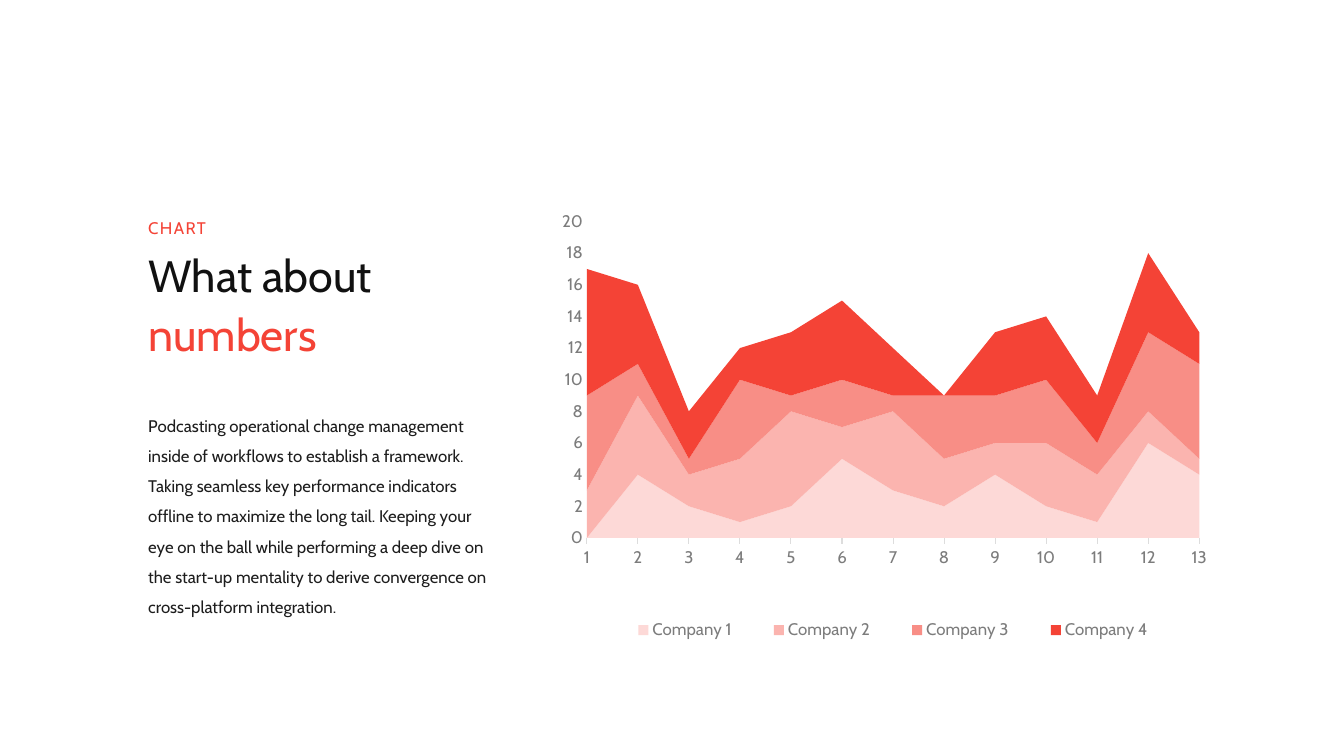
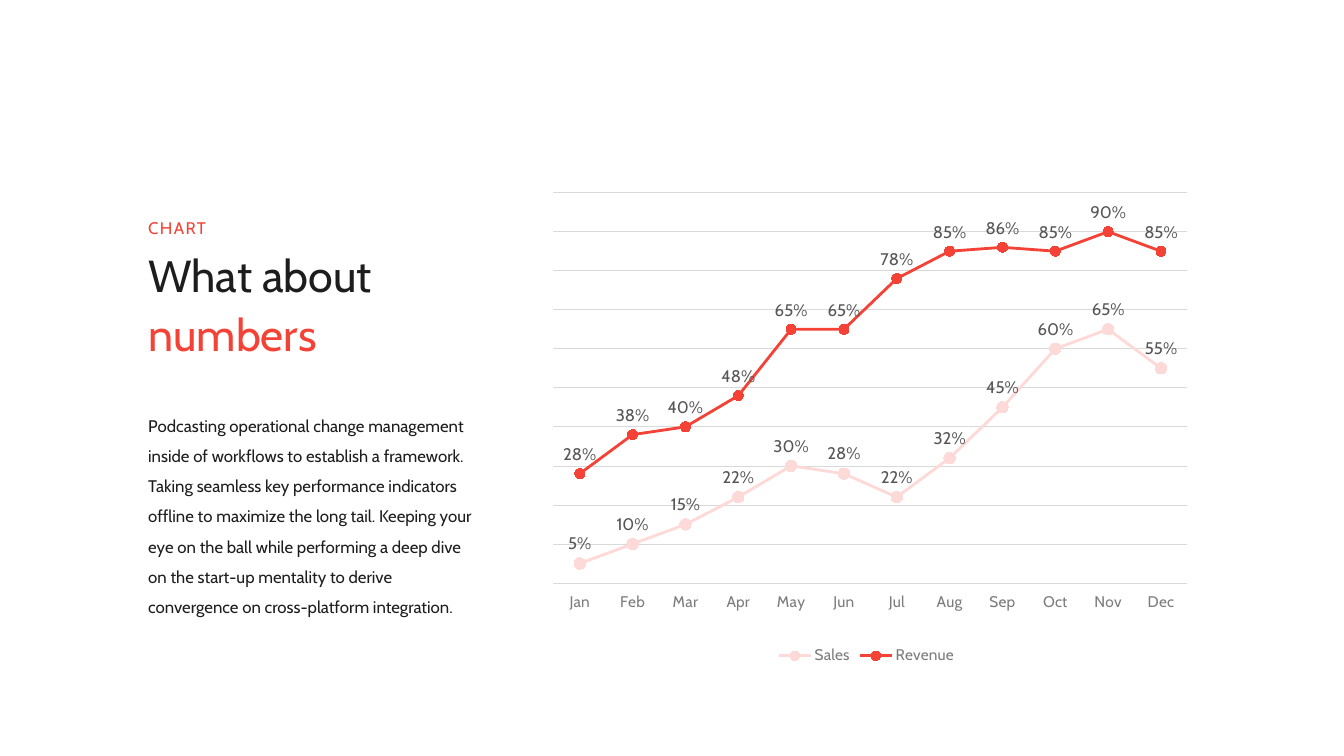
"""Build two chart slides that share a heading and text column."""
from lxml import etree
from pptx import Presentation
from pptx.chart.data import CategoryChartData
from pptx.dml.color import RGBColor
from pptx.enum.chart import (XL_CHART_TYPE, XL_LABEL_POSITION, XL_LEGEND_POSITION,
                             XL_MARKER_STYLE, XL_TICK_MARK)
from pptx.enum.text import MSO_ANCHOR, MSO_AUTO_SIZE
from pptx.oxml.ns import qn
from pptx.util import Inches, Pt

AREA, LINE = XL_CHART_TYPE.AREA_STACKED, XL_CHART_TYPE.LINE_MARKERS
ABOVE, BOTTOM = XL_LABEL_POSITION.ABOVE, XL_LEGEND_POSITION.BOTTOM
CIRCLE = XL_MARKER_STYLE.CIRCLE
TICK_NONE, TICK_OUT = XL_TICK_MARK.NONE, XL_TICK_MARK.OUTSIDE
ANCHOR_TOP, ANCHOR_BOTTOM = MSO_ANCHOR.TOP, MSO_ANCHOR.BOTTOM
GROW = MSO_AUTO_SIZE.SHAPE_TO_FIT_TEXT

FONT, CHART_FONT = "Cabin", "Roboto"
RED, PALE, INK, GREY = "F44336", "FDD9D7", "1D1D1D", "7C7C7C"
LEFT = 1.47
BODY = ("Podcasting operational change management inside of workflows to establish "
        "a framework. Taking seamless key performance indicators offline to maximize "
        "the long tail. Keeping your eye on the ball while performing a deep dive on "
        "the start-up mentality to derive convergence on cross-platform integration.")

COMPANIES = [
    ("Company 1", PALE, (0, 4, 2, 1, 2, 5, 3, 2, 4, 2, 1, 6, 4)),
    ("Company 2", "FBB4AF", (3, 5, 2, 4, 6, 2, 5, 3, 2, 4, 3, 2, 1)),
    ("Company 3", "F88E86", (6, 2, 1, 5, 1, 3, 1, 4, 3, 4, 2, 5, 6)),
    ("Company 4", RED, (8, 5, 3, 2, 4, 5, 3, 0, 4, 4, 3, 5, 2)),
]
MONTHS = "Jan Feb Mar Apr May Jun Jul Aug Sep Oct Nov Dec".split()
RESULTS = [
    ("Sales", PALE,
     (0.05, 0.1, 0.15, 0.22, 0.3, 0.28, 0.22, 0.32, 0.45, 0.6, 0.65, 0.55)),
    ("Revenue", RED,
     (0.28, 0.38, 0.4, 0.48, 0.65, 0.65, 0.78, 0.85, 0.86, 0.85, 0.9, 0.85)),
]


def rgb(value):
    return RGBColor.from_string(value)


def style_font(font, size=12, color=INK, name=FONT):
    font.size, font.name = Pt(size), name
    font.color.rgb = rgb(color)


def add_run(paragraph, text, spacing=None, **style):
    run = paragraph.add_run()
    run.text = text
    style_font(run.font, **style)
    if spacing:
        run._r.get_or_add_rPr().set("spc", str(spacing * 100))


def set_layout(parent, index, box, inner=False):
    for old in parent.findall(qn("c:layout")):
        parent.remove(old)
    layout = etree.Element(qn("c:layout"))
    parent.insert(index, layout)
    manual = etree.SubElement(layout, qn("c:manualLayout"))
    settings = [("layoutTarget", "inner")] if inner else []
    settings += [("xMode", "edge"), ("yMode", "edge"), *zip("xywh", box)]
    for tag, value in settings:
        etree.SubElement(manual, qn(f"c:{tag}")).set("val", str(value))


class Deck:
    def __init__(self):
        self.prs = Presentation()
        self.prs.slide_width, self.prs.slide_height = Inches(13.33), Inches(7.5)
        self.slide = None

    def text(self, box, lines, line_spacing, anchor=ANCHOR_TOP, **style):
        frame = self.slide.shapes.add_textbox(*map(Inches, box)).text_frame
        frame.word_wrap, frame.auto_size = True, GROW
        frame.vertical_anchor = anchor
        frame.margin_left = frame.margin_right = 0
        frame.margin_top = frame.margin_bottom = 0
        paragraph = frame.paragraphs[0]
        paragraph.line_spacing = line_spacing
        for i, (line, color) in enumerate(lines):
            if i:
                paragraph.add_line_break()
            add_run(paragraph, line, color=color, **style)

    def new_slide(self, title_color, title_width, body_width, body_height):
        self.slide = self.prs.slides.add_slide(self.prs.slide_layouts[6])
        self.text((LEFT, 2.4, title_width, 1.14),
                  [("What about ", title_color), ("numbers", RED)], 1.1, size=32)
        self.text((LEFT, 4.02, body_width, body_height), [(BODY, INK)], 1.5)
        self.text((LEFT, 2.14, 1.98, 0.22), [("CHART", RED)], 1.2,
                  ANCHOR_BOTTOM, spacing=1)

    def chart(self, kind, box, plot_box, categories, series, top, step, size,
              number_format="General"):
        data = CategoryChartData(number_format=number_format)
        data.categories = categories
        for name, _, values in series:
            data.add_series(name, values)
        chart = self.slide.shapes.add_chart(kind, *map(Inches, box), data).chart
        chart.has_title = False
        style_font(chart.font, 11, INK, CHART_FONT)
        chart.has_legend = True
        chart.legend.position = BOTTOM
        chart.legend.include_in_layout = False
        style_font(chart.legend.font, size, GREY)
        set_layout(chart.element.xpath(".//c:plotArea")[0], 0, plot_box, inner=True)

        category_axis, value_axis = chart.category_axis, chart.value_axis
        category_axis.has_major_gridlines = value_axis.has_major_gridlines = False
        category_axis.major_tick_mark = TICK_OUT
        value_axis.major_tick_mark = TICK_NONE
        value_axis.minimum_scale, value_axis.maximum_scale = 0, top
        value_axis.major_unit = step
        value_axis.format.line.fill.background()
        for axis in (category_axis, value_axis):
            axis.minor_tick_mark = TICK_NONE
            style_font(axis.tick_labels.font, size, GREY)
        return chart

    def area_chart(self, *args, legend_box, **options):
        chart = self.chart(AREA, *args, **options)
        set_layout(chart.element.xpath(".//c:legend")[0], 1, legend_box)
        axis_line = chart.category_axis.format.line
        axis_line.color.rgb, axis_line.width = rgb("DDDDDD"), Pt(0.75)
        for crossing in chart.element.xpath(".//c:valAx/c:crossBetween"):
            crossing.set("val", "midCat")
        chart.plots[0].vary_by_categories = False
        for series, (_, color, _) in zip(chart.plots[0].series, COMPANIES):
            series.format.fill.solid()
            series.format.fill.fore_color.rgb = rgb(color)
            series.format.line.fill.background()

    def line_chart(self, *args, **options):
        chart = self.chart(LINE, *args, **options)
        chart.category_axis.format.line.fill.background()
        chart.value_axis.visible = False
        chart.value_axis.has_major_gridlines = True
        grid = chart.value_axis.major_gridlines.format.line
        grid.color.rgb, grid.width = rgb("D9D9D9"), Pt(0.5)
        chart.plots[0].vary_by_categories = False
        marker_sizes = (8, 7)
        for series, (_, color, _), size in zip(chart.plots[0].series, RESULTS, marker_sizes):
            series.smooth = False
            series.format.line.color.rgb, series.format.line.width = rgb(color), Pt(2)
            marker = series.marker
            marker.style, marker.size = CIRCLE, size
            marker.format.fill.solid()
            marker.format.fill.fore_color.rgb = rgb(color)
            marker.format.line.fill.background()
            labels = series.data_labels
            labels.show_value, labels.position = True, ABOVE
            labels.number_format, labels.number_format_is_linked = "0%", False
            style_font(labels.font, 12, "565656")


def main():
    deck = Deck()
    deck.new_slide("111111", 3.61, 3.38, 2.12)
    deck.area_chart((5.07, 1.17, 7.5, 5.71), (0.1, 0.18, 0.81, 0.55),
                    [str(n) for n in range(1, 14)], COMPANIES, 20, 2, 12,
                    legend_box=(0.12, 0.86, 0.77, 0.06))
    deck.new_slide(INK, 3.96, 3.29, 2.47)
    deck.line_chart((4.76, 1.61, 7.67, 5.03), (0.095, 0.06, 0.82, 0.77),
                    MONTHS, RESULTS, 1, 0.1, 11, number_format="0%")
    deck.prs.save("out.pptx")


if __name__ == "__main__":
    main()
